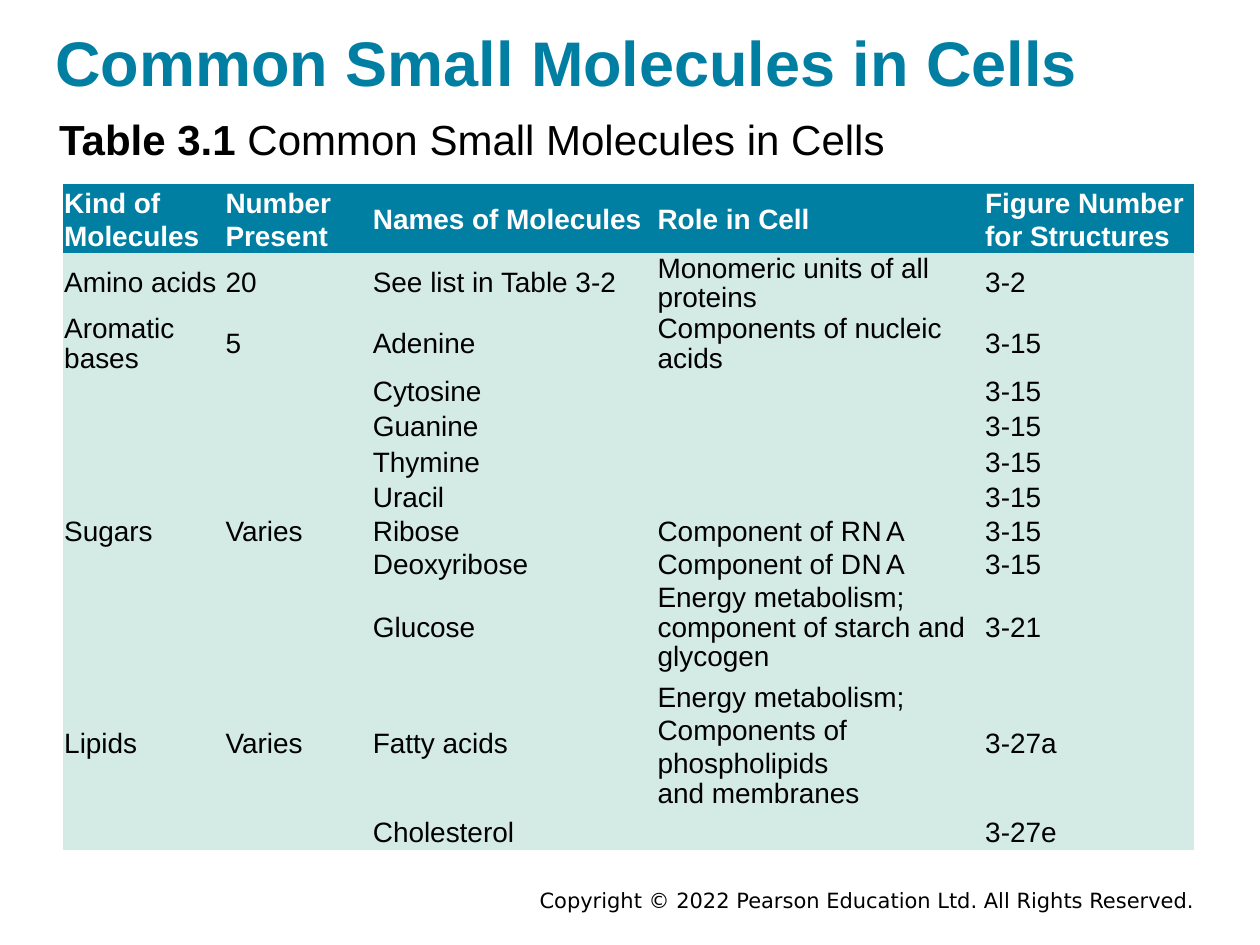
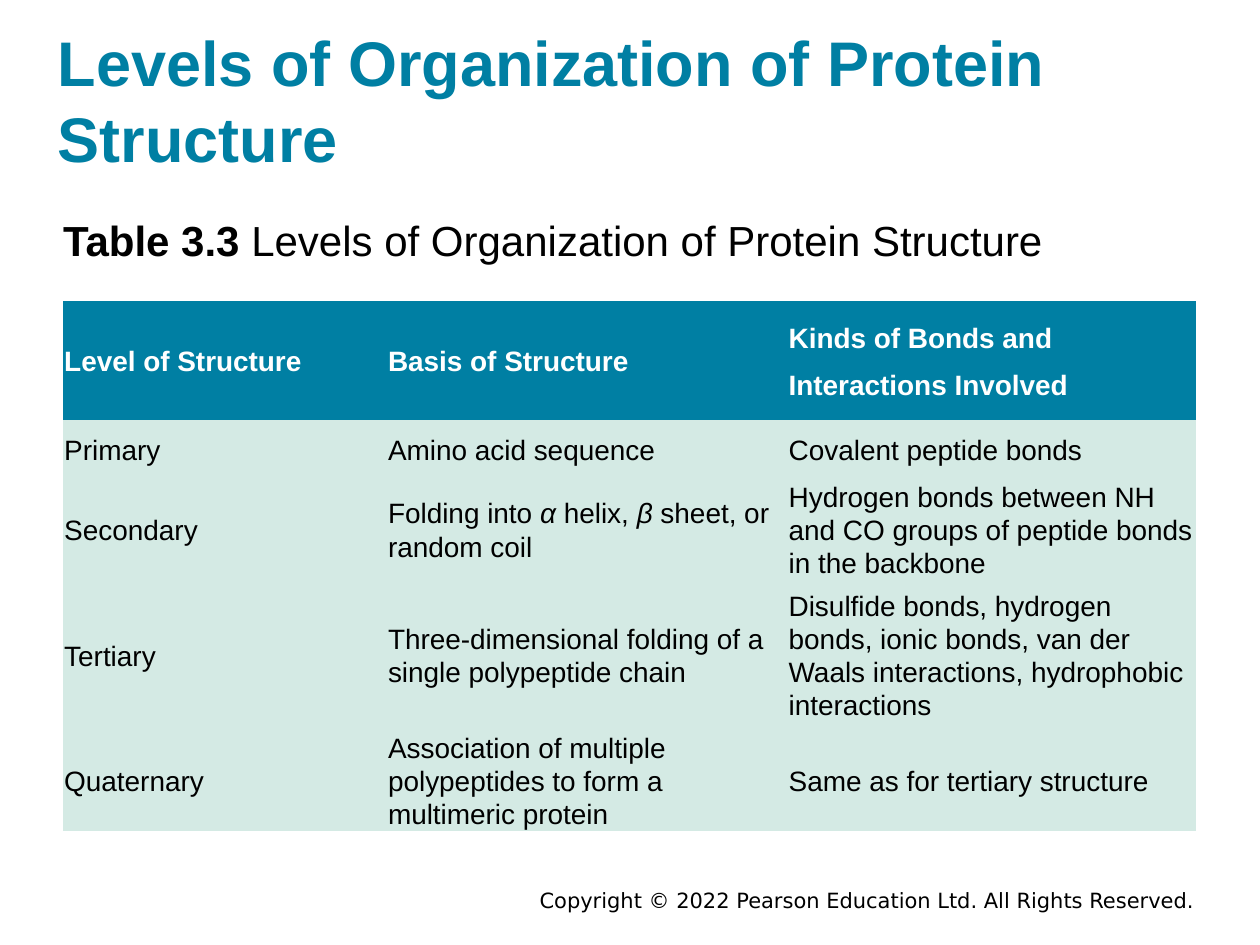
from dataclasses import dataclass

import pptx
import pptx.dml.color
import pptx.enum.text
import pptx.util
from pptx.util import Inches

ANCHOR = pptx.enum.text.MSO_ANCHOR
ALIGN = pptx.enum.text.PP_ALIGN
PLAIN_TABLE_STYLE = "{2D5ABB26-0587-4C30-8999-92F81FD0307C}"
COPYRIGHT = "Copyright © 2022 Pearson Education Ltd. All Rights Reserved."


@dataclass(frozen=True)
class Theme:
    accent: str = "007FA3"
    row_fill: str = "D4EAE4"
    ink: str = "000000"
    paper: str = "FFFFFF"
    font: str = "Arial"
    footer_font: str = "DejaVu Sans"
    title_size: int = 36
    caption_size: int = 24
    cell_size: int = 16
    footer_size: int = 12
    loose: float = 1.07
    tight: pptx.util.Length = pptx.util.Pt(16.9)


THEME = Theme()


@dataclass(frozen=True)
class Span:
    text: str
    italic: bool = False
    tracking: int = 0  # hundredths of a point


@dataclass(frozen=True)
class Line:
    """One paragraph of a cell; spacing None means the table's own spacing."""
    spans: tuple
    spacing: object = None


@dataclass(frozen=True)
class TableSpec:
    box: tuple
    columns: tuple
    row_heights: tuple
    rows: tuple
    body_spacing: object
    space_after: int = 0


def rgb(value):
    return pptx.dml.color.RGBColor.from_string(value)


def add_span(para, text, size, color, bold=False, italic=False, font=THEME.font):
    span = para.add_run()
    span.text = text
    span.font.name = font
    span.font.size = pptx.util.Pt(size)
    span.font.color.rgb = rgb(color)
    span.font.bold = bold
    span.font.italic = italic
    return span


def set_frame(frame, anchor, insets=(0, 0, 0, 0)):
    frame.word_wrap = True
    frame.auto_size = pptx.enum.text.MSO_AUTO_SIZE.NONE
    frame.vertical_anchor = anchor
    set_margins(frame, insets)


def set_margins(holder, insets):
    sides = ("margin_left", "margin_top", "margin_right", "margin_bottom")
    for side, inset in zip(sides, insets):
        setattr(holder, side, Inches(inset))


def add_text_box(page, box, anchor, insets=(0, 0, 0, 0)):
    frame = page.shapes.add_textbox(*map(Inches, box)).text_frame
    set_frame(frame, anchor, insets)
    return frame.paragraphs[0]


def add_title(page, box, text, anchor):
    title = page.shapes.title
    title.left, title.top, title.width, title.height = map(Inches, box)
    set_frame(title.text_frame, anchor)
    para = title.text_frame.paragraphs[0]
    para.alignment = ALIGN.LEFT
    add_span(para, text, THEME.title_size, THEME.accent, bold=True)


def add_caption(page, box, label, text):
    para = add_text_box(page, box, ANCHOR.TOP)
    add_span(para, label, THEME.caption_size, THEME.ink, bold=True)
    add_span(para, " " + text, THEME.caption_size, THEME.ink)


def add_footer(page):
    para = add_text_box(page, (1.75, 7.03, 7.83, 0.22), ANCHOR.MIDDLE,
                        (0.1, 0.05, 0.1, 0.05))
    para.alignment = ALIGN.RIGHT
    add_span(para, COPYRIGHT, THEME.footer_size, THEME.ink, font=THEME.footer_font)


def as_lines(content):
    """Turn a string, with one paragraph a line, into Line objects."""
    if isinstance(content, str):
        return [Line((Span(text),)) for text in content.split("\n")]
    return content


def fill_cell(cell, content, header, spec):
    cell.fill.solid()
    cell.fill.fore_color.rgb = rgb(THEME.accent if header else THEME.row_fill)
    cell.vertical_anchor = ANCHOR.MIDDLE
    set_margins(cell, (0.01, 0.01, 0.01, 0))
    frame = cell.text_frame
    if not content:
        para = frame.paragraphs[0]
        para.line_spacing = THEME.loose
        # An empty cell takes its height from the paragraph end mark.
        para._p.get_or_add_endParaRPr().set("sz", str(THEME.cell_size * 100))
        return
    spacing = THEME.loose if header else spec.body_spacing
    for index, line in enumerate(as_lines(content)):
        para = frame.add_paragraph() if index else frame.paragraphs[0]
        para.line_spacing = line.spacing or spacing
        para.space_after = pptx.util.Pt(spec.space_after)
        for part in line.spans:
            span = add_span(para, part.text, THEME.cell_size,
                            THEME.paper if header else THEME.ink,
                            bold=header, italic=part.italic)
            if part.tracking:
                span._r.get_or_add_rPr().set("spc", str(part.tracking))


def add_data_table(page, spec):
    shape = page.shapes.add_table(len(spec.rows), len(spec.columns),
                                  *map(Inches, spec.box))
    table = shape.table
    table.horz_banding = False
    style = table._tbl.tblPr.find(pptx.oxml.ns.qn("a:tableStyleId"))
    style.text = PLAIN_TABLE_STYLE
    for column, width in zip(table.columns, spec.columns):
        column.width = Inches(width)
    for row, height in zip(table.rows, spec.row_heights):
        row.height = Inches(height)
    for row_index, contents in enumerate(spec.rows):
        for column_index, content in enumerate(contents):
            fill_cell(table.cell(row_index, column_index), content,
                      row_index == 0, spec)


def add_table_page(deck, title, title_box, title_anchor, label, caption_box, spec):
    page = deck.slides.add_slide(deck.slide_layouts[5])
    add_title(page, title_box, title, title_anchor)
    add_caption(page, caption_box, label, title)
    add_data_table(page, spec)
    add_footer(page)


def nucleic_acid(letter):
    return [Line((Span("Component of "), Span(f"{letter} N ", tracking=-200), Span("A")))]


FATTY_ACID_ROLE = [
    Line((Span("Energy metabolism; Components of phospholipids"),), THEME.loose),
    Line((Span("and membranes"),)),
]
HELIX_AND_SHEET = [Line((
    Span("Folding into "), Span("α", italic=True), Span(" helix, "),
    Span("β", italic=True), Span(" sheet, or random coil"),
))]

MOLECULES = TableSpec(
    box=(0.5, 1.46, 8.98, 5.32),
    columns=(1.28, 1.17, 2.26, 2.6, 1.67),
    row_heights=(0.55, 0.46, 0.46) + (0.23,) * 6 + (0.68, 1.13, 0.23),
    body_spacing=THEME.tight,
    rows=(
        ("Kind of Molecules", "Number Present", "Names of Molecules", "Role in Cell",
         "Figure Number for Structures"),
        ("Amino acids", "20", "See list in Table 3-2",
         "Monomeric units of all proteins", "3-2"),
        ("Aromatic bases", "5", "Adenine", "Components of nucleic acids", "3-15"),
        *(("", "", base, "", "3-15")
          for base in ("Cytosine", "Guanine", "Thymine", "Uracil")),
        ("Sugars", "Varies", "Ribose", nucleic_acid("R"), "3-15"),
        ("", "", "Deoxyribose", nucleic_acid("D"), "3-15"),
        ("", "", "Glucose",
         "Energy metabolism; component of starch and glycogen", "3-21"),
        ("Lipids", "Varies", "Fatty acids", FATTY_ACID_ROLE, "3-27a"),
        ("", "", "Cholesterol", "", "3-27e"),
    ),
)

PROTEIN_LEVELS = TableSpec(
    box=(0.5, 2.39, 9, 4.18),
    columns=(2.57, 3.18, 3.24),
    row_heights=(0.94, 0.47, 0.79, 1.19, 0.79),
    body_spacing=THEME.loose,
    space_after=8,
    rows=(
        ("Level of Structure", "Basis of Structure",
         "Kinds of Bonds and\nInteractions Involved"),
        ("Primary", "Amino acid sequence", "Covalent peptide bonds"),
        ("Secondary", HELIX_AND_SHEET,
         "Hydrogen bonds between NH and CO groups of peptide bonds in the backbone"),
        ("Tertiary", "Three-dimensional folding of a single polypeptide chain",
         "Disulfide bonds, hydrogen bonds, ionic bonds, van der Waals interactions, "
         "hydrophobic interactions"),
        ("Quaternary",
         "Association of multiple polypeptides to form a multimeric protein",
         "Same as for tertiary structure"),
    ),
)


def main():
    deck = pptx.Presentation()
    deck.slide_width, deck.slide_height = Inches(10), Inches(7.5)
    add_table_page(deck, "Common Small Molecules in Cells", (0.44, 0.13, 9, 0.66),
                   ANCHOR.BOTTOM, "Table 3.1", (0.47, 0.9, 9, 0.42), MOLECULES)
    add_table_page(deck, "Levels of Organization of Protein Structure",
                   (0.46, 0.19, 9, 1.2), ANCHOR.MIDDLE, "Table 3.3",
                   (0.5, 1.7, 8.99, 0.45), PROTEIN_LEVELS)
    deck.save("out.pptx")


if __name__ == "__main__":
    main()
